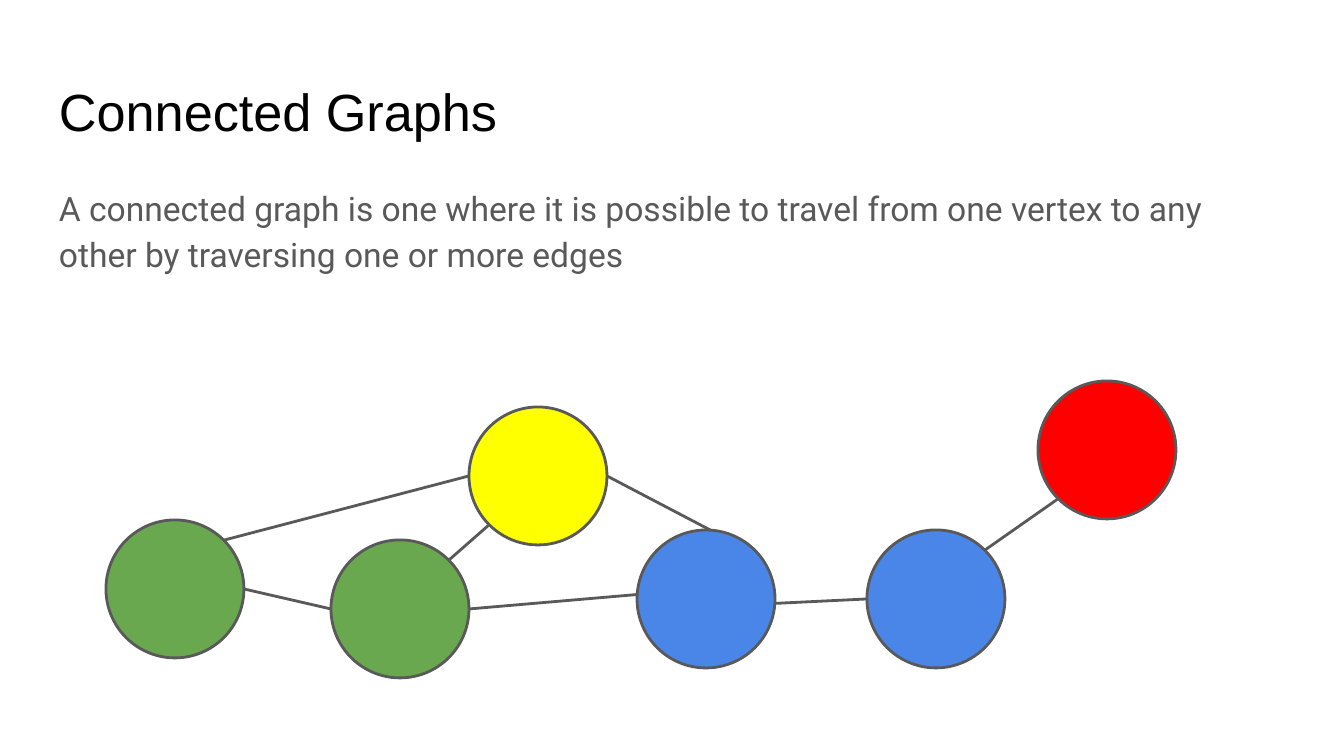
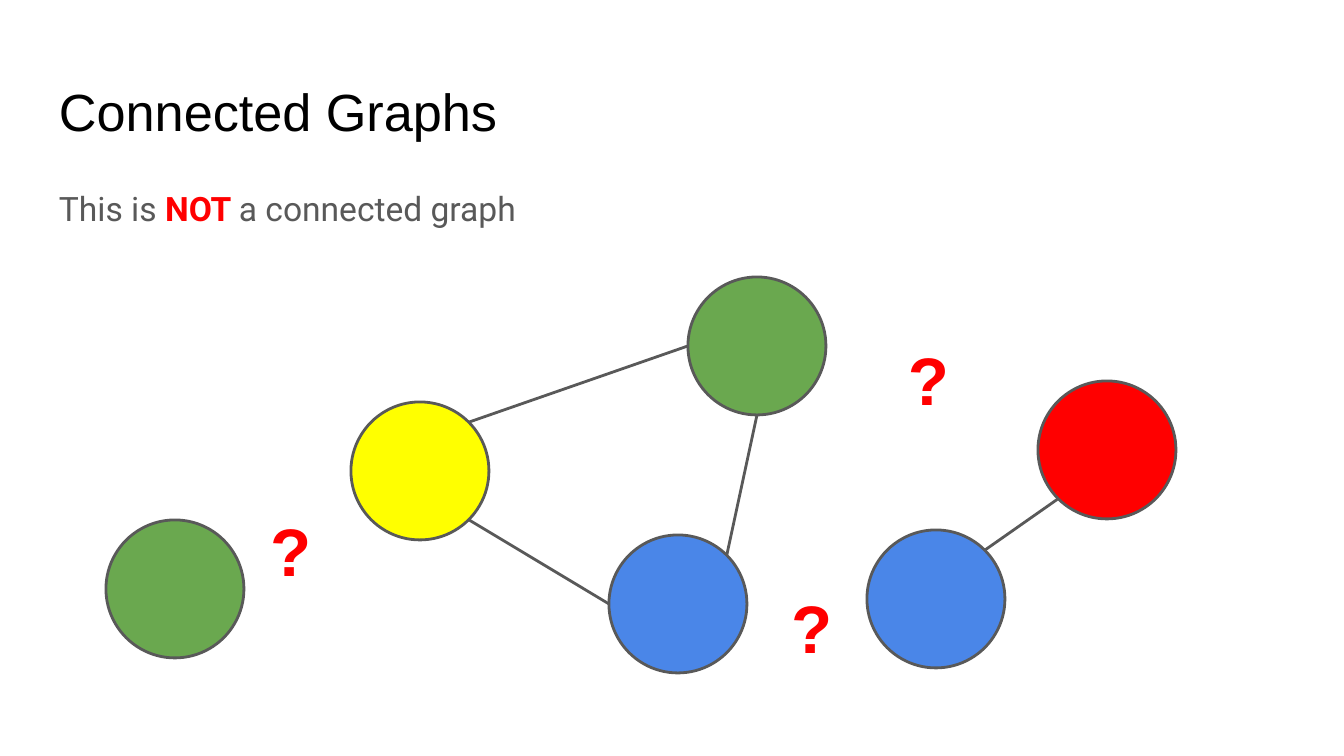
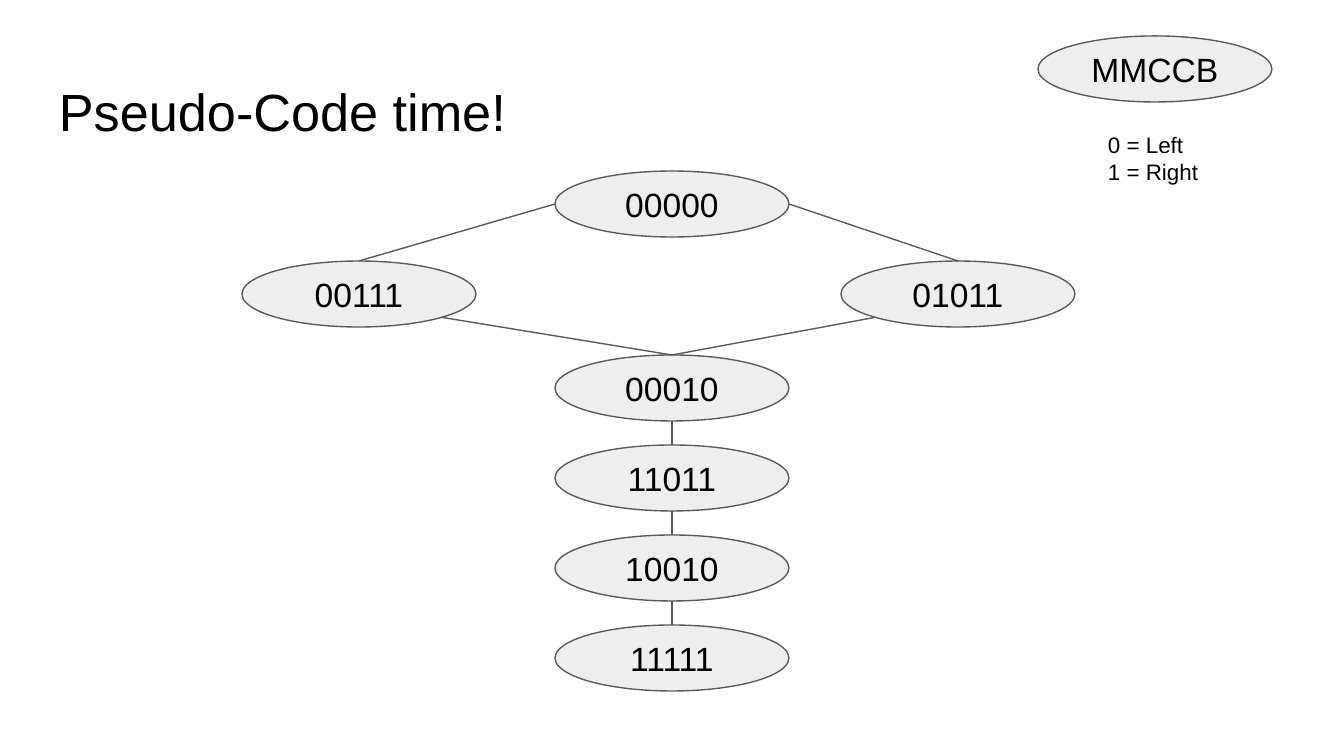
from math import cos, radians, sin

from lxml import etree
from pptx import Presentation
from pptx.dml.color import RGBColor
from pptx.enum.shapes import MSO_CONNECTOR, MSO_SHAPE
from pptx.enum.text import MSO_ANCHOR, PP_ALIGN
from pptx.oxml.ns import qn
from pptx.util import Emu, Pt

STRAIGHT = MSO_CONNECTOR.STRAIGHT
ELLIPSE = MSO_SHAPE.OVAL
MIDDLE = MSO_ANCHOR.MIDDLE
TOP_ANCHOR = MSO_ANCHOR.TOP
CENTER = PP_ALIGN.CENTER
LEFT_ALIGN = PP_ALIGN.LEFT

EMU_PER_PX = 914400 / 134.4
SLIDE_SIZE = (1344, 756)
TITLE_BOX = (46, 66, 1253, 84)
BODY_BOX = (46, 169, 1253, 503)
GRAPH_BOX = (106, 277, 1070, 401)
TREE_BOX = (242, 171, 833, 520)
KEY_BOX = (1038, 36, 234, 160)
INSET = 13
CIRCLE = 138
STATE_WIDTH, STATE_HEIGHT = 234, 66
STATE_PITCH = 90

BLACK, GRAY, PALE = "000000", "595959", "EEEEEE"
RED, GREEN, BLUE, YELLOW = "FF0000", "6AA84F", "4A86E8", "FFFF00"
HEADING_FONT, BODY_FONT = "Arial", "Roboto"

RIGHT, LOWER_RIGHT, BOTTOM, LOWER_LEFT = 0, 45, 90, 135
LEFT, UPPER_LEFT, TOP, UPPER_RIGHT = 180, 225, 270, 315


def px(length):
    """Turn pixels into EMU."""
    return Emu(round(length * EMU_PER_PX))


def color(hex_string):
    """Turn a hex string into a colour."""
    return RGBColor.from_string(hex_string)


def fill_text(shape, paragraphs, size, font=HEADING_FONT, ink=BLACK, bold=False,
              align=LEFT_ALIGN, anchor=TOP_ANCHOR):
    """Write paragraphs, each a list of (text, emphasised) runs, into a shape."""
    frame = shape.text_frame
    frame.word_wrap = True
    frame.vertical_anchor = anchor
    frame.margin_left = frame.margin_right = px(INSET)
    frame.margin_top = frame.margin_bottom = px(INSET)
    for index, runs in enumerate(paragraphs):
        paragraph = frame.add_paragraph() if index else frame.paragraphs[0]
        paragraph.alignment = align
        paragraph.font.name = font
        paragraph.font.size = Pt(size)
        paragraph.font.bold = bold
        paragraph.font.color.rgb = color(ink)
        for text, emphasised in runs:
            run = paragraph.add_run()
            run.text = text
            if emphasised:
                run.font.bold = True
                run.font.color.rgb = color(RED)
    return frame


def add_text(slide, box, paragraphs, size, **style):
    """Add a text box and return its frame."""
    shape = slide.shapes.add_textbox(*map(px, box))
    return fill_text(shape, paragraphs, size, **style)


def add_title(slide, text):
    """Add the slide title."""
    add_text(slide, TITLE_BOX, [[(text, False)]], 28)


def add_body(slide, runs):
    """Add the explanatory paragraph below the title."""
    frame = add_text(slide, BODY_BOX, [runs], 18, font=BODY_FONT, ink=GRAY)
    frame.paragraphs[0].line_spacing = 1.15
    frame.paragraphs[0].space_after = Pt(16)


def add_ellipse(slide, box, fill, line_width):
    """Add an outlined ellipse."""
    shape = slide.shapes.add_shape(ELLIPSE, *map(px, box))
    shape.shadow.inherit = False
    shape.fill.solid()
    shape.fill.fore_color.rgb = color(fill)
    shape.line.color.rgb = color(GRAY)
    shape.line.width = Pt(line_width)
    return shape


def rim_point(shape, angle):
    """Return the point on an ellipse's rim, clockwise from its right end."""
    turn = radians(angle + shape.rotation)
    return (Emu(round(shape.left + shape.width / 2 * (1 + cos(turn)))),
            Emu(round(shape.top + shape.height / 2 * (1 + sin(turn)))))


def add_edges(slide, nodes, edges, line_width):
    """Link nodes by (start, start angle, end, end angle)."""
    for start, start_angle, end, end_angle in edges:
        connector = slide.shapes.add_connector(
            STRAIGHT, *rim_point(nodes[start], start_angle),
            *rim_point(nodes[end], end_angle))
        connector.line.color.rgb = color(GRAY)
        connector.line.width = Pt(line_width)
        etree.SubElement(connector._element.spPr, qn("a:effectLst"))


def add_graph(slide, box, circles, edges):
    """Draw coloured circles and the edges between them."""
    left, top = box[:2]
    nodes = {}
    for name, (x, y, fill, rotation) in circles.items():
        circle_box = (left + x, top + y, CIRCLE, CIRCLE)
        nodes[name] = add_ellipse(slide, circle_box, fill, 1.5)
        nodes[name].rotation = rotation
    add_edges(slide, nodes, edges, 1.5)


def add_question_marks(slide, box, places):
    """Mark the missing links of a graph."""
    for x, y in places:
        mark_box = (box[0] + x, box[1] + y, 74, 77)
        add_text(slide, mark_box, [[("?", False)]], 36, ink=RED, bold=True)


def add_state(slide, left, top, label):
    """Add a labelled state ellipse."""
    state_box = (left, top, STATE_WIDTH, STATE_HEIGHT)
    shape = add_ellipse(slide, state_box, PALE, 0.75)
    fill_text(shape, [[(label, False)]], 18, align=CENTER, anchor=MIDDLE)
    return shape


def add_state_tree(slide, box):
    """Draw the states that branch, meet again and run down a column."""
    left, top, width, height = box
    column = ["00010", "11011", "10010", "11111"]
    middle = left + 313
    column_top = top + height - STATE_HEIGHT - STATE_PITCH * (len(column) - 1)
    places = {
        "00000": (middle, top),
        "00111": (left, top + STATE_PITCH),
        "01011": (left + width - STATE_WIDTH, top + STATE_PITCH),
    }
    for row, label in enumerate(column):
        places[label] = (middle, column_top + row * STATE_PITCH)
    states = {label: add_state(slide, *place, label)
              for label, place in places.items()}
    edges = [
        ("00000", LEFT, "00111", TOP),
        ("00000", RIGHT, "01011", TOP),
        ("00111", LOWER_RIGHT, "00010", TOP),
        ("01011", LOWER_LEFT, "00010", TOP),
    ]
    edges += [(upper, BOTTOM, lower, TOP)
              for upper, lower in zip(column, column[1:])]
    add_edges(slide, states, edges, 0.75)


def add_key(slide, box):
    """Explain how the state labels are read."""
    left, top = box[:2]
    add_state(slide, left, top, "MMCCB")
    lines = [[("0 = Left", False)], [("1 = Right", False)]]
    add_text(slide, (left + 57, top + 82, 120, 78), lines, 12)


def build_connected_slide(slide):
    """Define a connected graph and show one."""
    add_title(slide, "Connected Graphs")
    add_body(slide, [("A connected graph is one where it is possible to travel "
                      "from one vertex to any other by traversing one or more "
                      "edges", False)])
    circles = {
        "yellow": (363, 130, YELLOW, 0),
        "middle blue": (531, 253, BLUE, 93.7),
        "middle green": (225, 263, GREEN, 0),
        "left green": (0, 243, GREEN, 0),
        "right blue": (761, 253, BLUE, 0),
        "red": (932, 104, RED, 0),
    }
    edges = [
        ("yellow", RIGHT, "middle blue", LEFT),
        ("middle blue", BOTTOM, "middle green", RIGHT),
        ("left green", RIGHT, "middle green", LEFT),
        ("right blue", UPPER_RIGHT, "red", LOWER_LEFT),
        ("middle blue", TOP, "right blue", LEFT),
        ("left green", UPPER_RIGHT, "yellow", LEFT),
        ("middle green", UPPER_RIGHT, "yellow", LOWER_LEFT),
    ]
    add_graph(slide, GRAPH_BOX, circles, edges)


def build_disconnected_slide(slide):
    """Show a graph whose parts are not all linked."""
    add_title(slide, "Connected Graphs")
    add_body(slide, [("This is ", False), ("NOT ", True),
                     ("a connected graph", False)])
    circles = {
        "yellow": (245, 125, YELLOW, 0),
        "middle blue": (503, 258, BLUE, 0),
        "top green": (582, 0, GREEN, 0),
        "left green": (0, 243, GREEN, 0),
        "right blue": (761, 253, BLUE, 0),
        "red": (932, 104, RED, 0),
    }
    edges = [
        ("yellow", LOWER_RIGHT, "middle blue", LEFT),
        ("middle blue", UPPER_RIGHT, "top green", BOTTOM),
        ("yellow", UPPER_RIGHT, "top green", LEFT),
        ("right blue", UPPER_RIGHT, "red", LOWER_LEFT),
    ]
    add_graph(slide, GRAPH_BOX, circles, edges)
    add_question_marks(slide, GRAPH_BOX, [(151, 219), (672, 296), (789, 48)])


def build_states_slide(slide):
    """Show the state graph and its key."""
    add_title(slide, "Pseudo-Code time!")
    add_state_tree(slide, TREE_BOX)
    add_key(slide, KEY_BOX)


def main():
    """Build and save the presentation."""
    presentation = Presentation()
    presentation.slide_width, presentation.slide_height = map(px, SLIDE_SIZE)
    blank_layout = presentation.slide_layouts[6]
    for build in (build_connected_slide, build_disconnected_slide,
                  build_states_slide):
        build(presentation.slides.add_slide(blank_layout))
    presentation.save("out.pptx")


if __name__ == "__main__":
    main()
